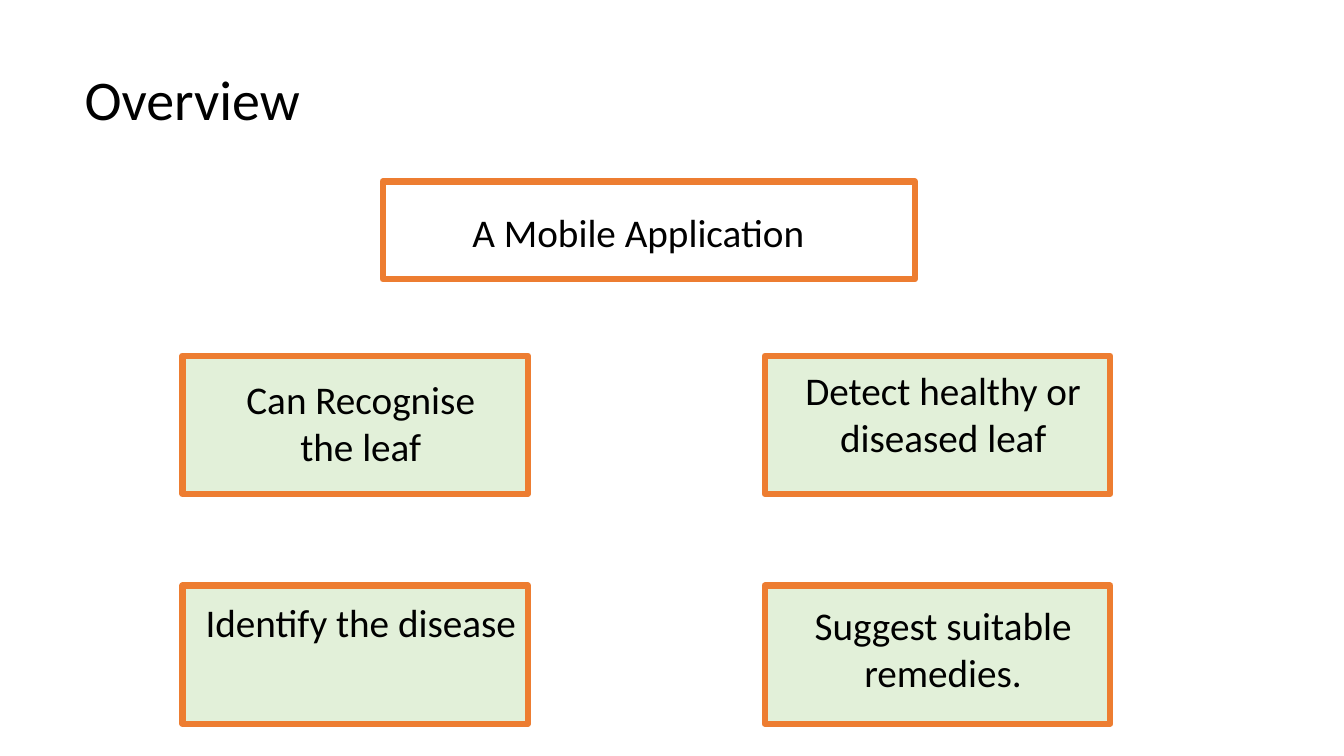
from pptx import Presentation
from pptx.dml.color import RGBColor
from pptx.enum.shapes import MSO_SHAPE as Shape
from pptx.enum.text import MSO_ANCHOR as Anchor, PP_ALIGN as Align
from pptx.util import Inches, Pt

WIDTH, HEIGHT = Inches(13.34), Inches(7.5)
COLOURS = {"text": "000000", "border": "ED7D31", "card": "E2F0D9"}
FONT = "Calibri"
GRID_LEFT, GRID_TOP = 13.57, 47.07
COLUMN_STEP, ROW_STEP = 43.33, 30.4
CARD_WIDTH, CARD_HEIGHT = 25.71, 18.27
CAPTION_WIDTH, LINE_HEIGHT = 26.54, 6.27
CARDS = [
    (0, 0, 1.87, 2, ["Can Recognise", "the leaf"]),
    (1, 0, 0.67, 2, ["Detect healthy or diseased leaf"]),
    (0, 1, 1.07, 1, ["Identify the disease"]),
    (1, 1, 1.47, 2, ["Suggest suitable remedies."]),
]


def area(left, top, width, height):
    """Turn percentages of the slide's size into lengths."""
    return [int(share * side / 100) for share, side in
            zip((left, top, width, height), (WIDTH, HEIGHT) * 2)]


def colour(name):
    """Return a named colour of the slide."""
    return RGBColor.from_string(COLOURS[name])


def format_paragraph(paragraph, size, alignment):
    """Set a paragraph's font and alignment."""
    paragraph.alignment = alignment
    paragraph.font.size = Pt(size)
    paragraph.font.name = FONT
    paragraph.font.color.rgb = colour("text")


def add_title(slide, text):
    """Place the title at the bottom of its area."""
    title = slide.shapes.title
    title.left, title.top, title.width, title.height = area(5.55, 5.47, 62.52, 12.8)
    title.text_frame.text = text
    title.text_frame.vertical_anchor = Anchor.BOTTOM
    paragraph = title.text_frame.paragraphs[0]
    format_paragraph(paragraph, 40, Align.LEFT)
    paragraph.line_spacing = 0.9


def add_box(slide, place, fill=None):
    """Draw a bordered rectangle, filled if a colour is named."""
    box = slide.shapes.add_shape(Shape.RECTANGLE, *area(*place))
    box.shadow.inherit = False
    box.line.color.rgb = colour("border")
    box.line.width = Pt(4.5)
    if fill:
        box.fill.solid()
        box.fill.fore_color.rgb = colour(fill)
    else:
        box.fill.background()


def add_caption(slide, place, lines, alignment=Align.CENTER, inset=0.1):
    """Write wrapped lines, one paragraph each."""
    frame = slide.shapes.add_textbox(*area(*place)).text_frame
    frame.word_wrap = True
    frame.margin_left = Inches(inset)
    frame.text = "\n".join(lines)
    for paragraph in frame.paragraphs:
        format_paragraph(paragraph, 28, alignment)


def main():
    """Build and save the overview slide."""
    presentation = Presentation()
    presentation.slide_width, presentation.slide_height = WIDTH, HEIGHT
    slide = presentation.slides.add_slide(presentation.slide_layouts[5])
    add_title(slide, "Overview")
    places = [(GRID_LEFT + column * COLUMN_STEP, GRID_TOP + row * ROW_STEP)
              for column, row, *_ in CARDS]
    for left, top in places:
        add_box(slide, (left, top, CARD_WIDTH, CARD_HEIGHT), "card")
    add_box(slide, (28.49, 24, 39.58, 12.93))
    add_caption(slide, (32.68, 26.93, 32.68, 7.6), ["A Mobile Application"],
                Align.LEFT, 0.33)
    for (left, top), (_, _, drop, rows, lines) in zip(places, CARDS):
        height = 1.33 + rows * LINE_HEIGHT
        add_caption(slide, (left, top + drop, CAPTION_WIDTH, height), lines)
    presentation.save("out.pptx")


if __name__ == "__main__":
    main()
